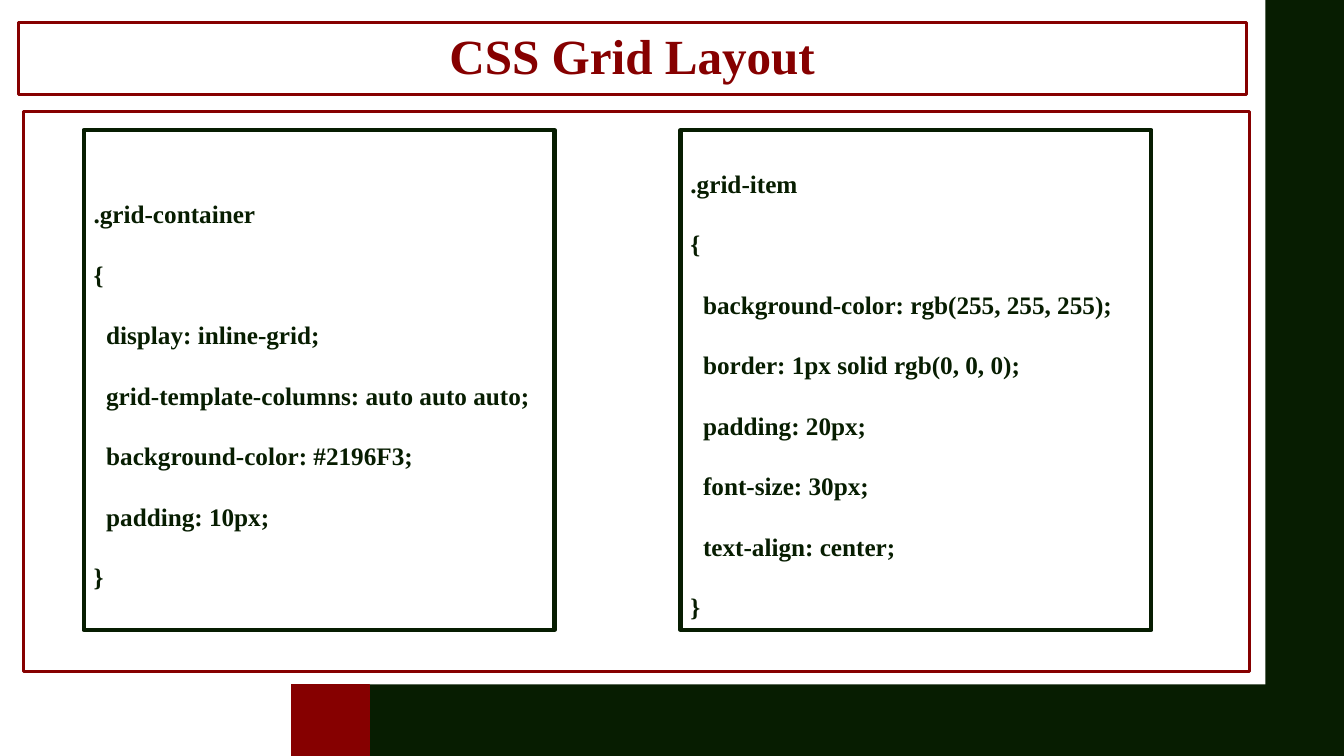
"""Build the CSS Grid Layout slide with two framed code listings."""
from pptx import Presentation
from pptx.dml.color import RGBColor
from pptx.enum.shapes import MSO_SHAPE
from pptx.enum.text import MSO_ANCHOR, MSO_AUTO_SIZE, PP_ALIGN
from pptx.util import Inches, Pt

HUES = {"red": "860000", "dark": "071D01"}
CODE = [
    """.grid-container
{
  display: inline-grid;
  grid-template-columns: auto auto auto;
  background-color: #2196F3;
  padding: 10px;
}""",
    """.grid-item
{
  background-color: rgb(255, 255, 255);
  border: 1px solid rgb(0, 0, 0);
  padding: 20px;
  font-size: 30px;
  text-align: center;
}""",
]


def hue(name):
    return RGBColor.from_string(HUES[name])


def assign(item, form):
    for key, value in form.items():
        setattr(item, key, value)


def paint(shape, fill=None, line=None, width=1):
    if fill:
        shape.fill.solid()
        shape.fill.fore_color.rgb = hue(fill)
    else:
        shape.fill.background()
    if line:
        shape.line.color.rgb = hue(line)
        shape.line.width = Pt(width)
    else:
        shape.line.fill.background()


def add_box(slide, place, **style):
    box = slide.shapes.add_shape(MSO_SHAPE.RECTANGLE, *map(Inches, place))
    box.shadow.inherit = False
    paint(box, **style)
    return box


def write(shape, text, size, color, align, space):
    frame = shape.text_frame
    assign(frame, {"text": text, "word_wrap": True,
                   "auto_size": MSO_AUTO_SIZE.NONE,
                   "vertical_anchor": MSO_ANCHOR.MIDDLE})
    for para in frame.paragraphs:
        assign(para, {"alignment": align, "line_spacing": space,
                      "space_before": Pt(0), "space_after": Pt(0)})
        for run in para.runs:
            assign(run.font, {"name": "Times New Roman", "size": Pt(size),
                              "bold": True})
            run.font.color.rgb = hue(color)


def add_title(slide, text):
    title = slide.shapes.title
    sides = ("left", "top", "width", "height")
    assign(title, dict(zip(sides, map(Inches, (0.18, 0.22, 12.18, 0.72)))))
    paint(title, line="red", width=2)
    write(title, text, 35.1, "red", PP_ALIGN.CENTER, 0.9)


def add_code(slide, left, text):
    box = add_box(slide, (left, 1.29, 4.67, 4.96), line="dark", width=3)
    write(box, text, 18, "dark", PP_ALIGN.LEFT, 2.0)


def main():
    deck = Presentation()
    assign(deck, {"slide_width": Inches(13.33), "slide_height": Inches(7.5)})
    slide = deck.slides.add_slide(deck.slide_layouts[5])
    add_title(slide, "CSS Grid Layout")
    add_box(slide, (0.23, 1.11, 12.16, 5.55), line="red", width=2)
    add_box(slide, (12.55, 0, 0.78, 7.5), fill="dark")
    add_box(slide, (3.66, 6.79, 8.91, 0.71), fill="dark")
    add_box(slide, (2.89, 6.79, 0.77, 0.71), fill="red", line="red")
    for left, text in zip((0.83, 6.75), CODE):
        add_code(slide, left, text)
    deck.save("out.pptx")


if __name__ == "__main__":
    main()
